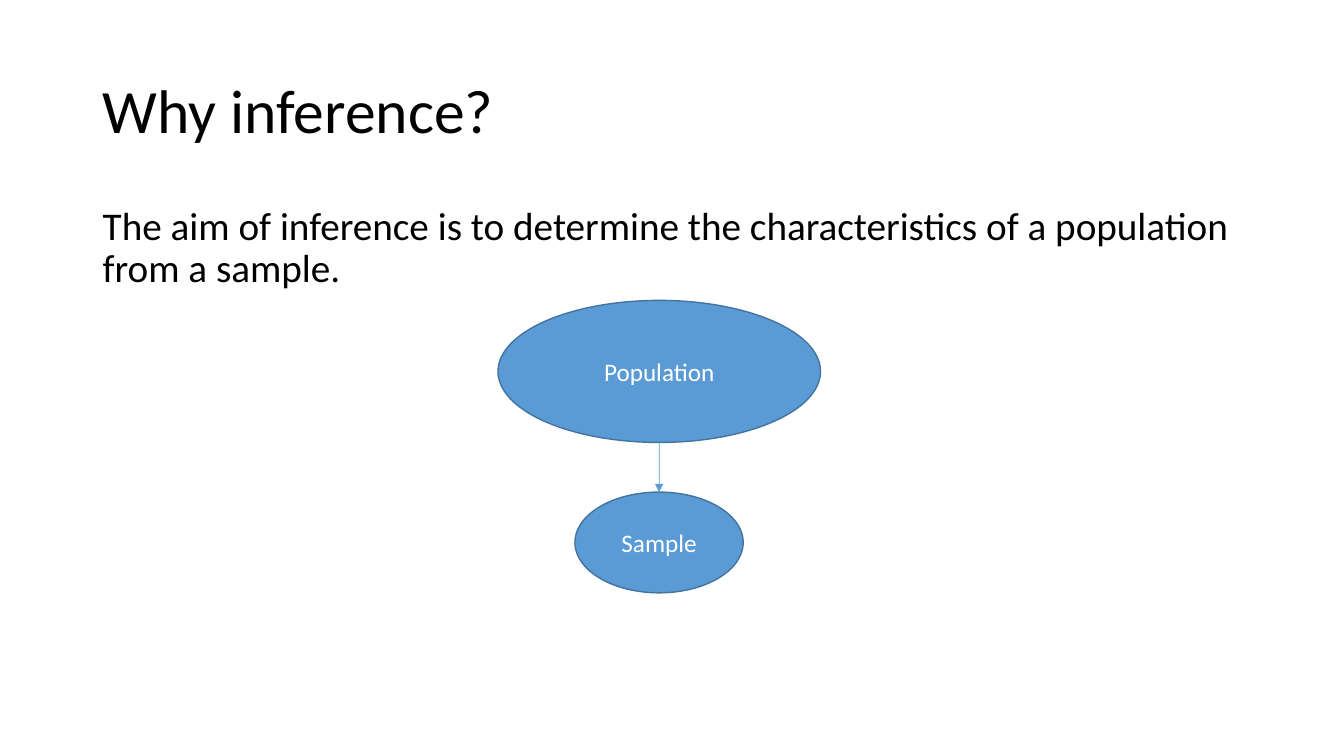
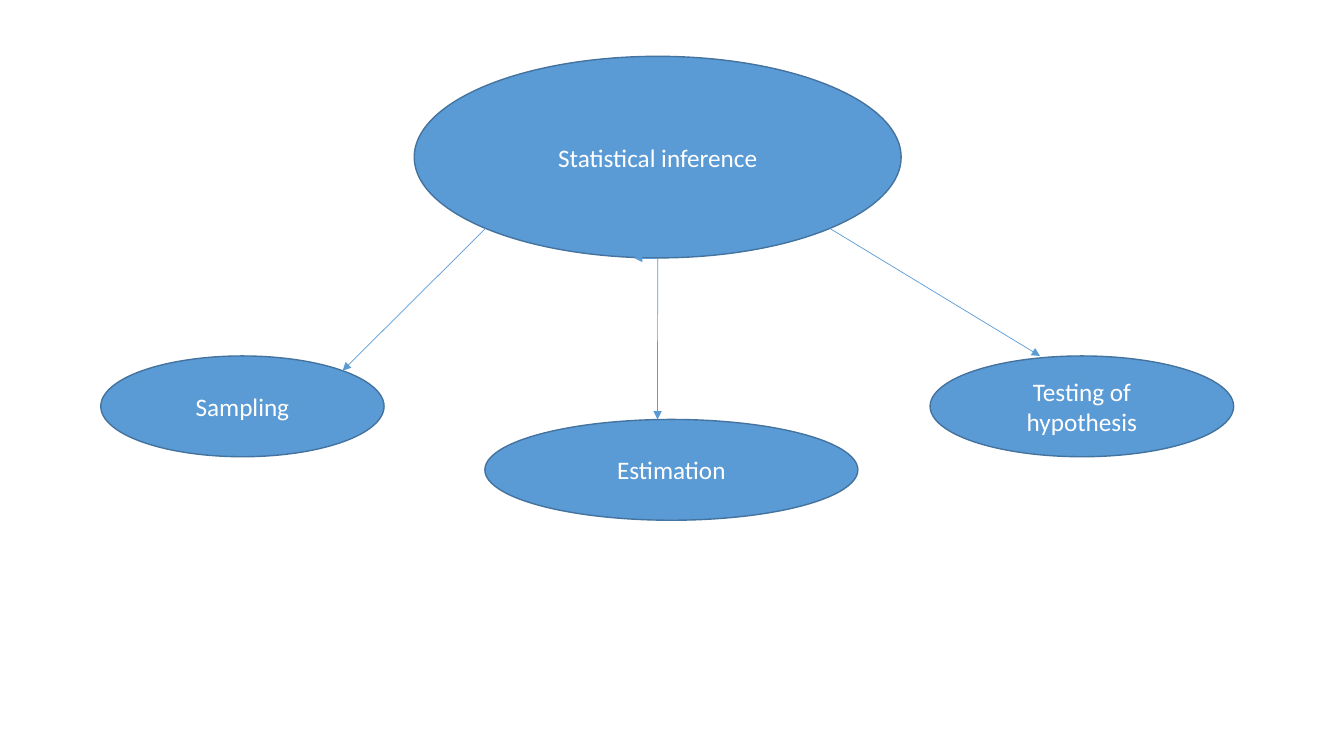
from dataclasses import dataclass
from math import cos, pi, sin

from pptx import Presentation
from pptx import util as u
from pptx.dml.color import RGBColor
from pptx.enum import shapes, text
from pptx.oxml import ns
from lxml import etree

FONT = "Calibri"
BLACK = RGBColor(0x00, 0x00, 0x00)
WHITE = RGBColor(0xFF, 0xFF, 0xFF)
BLUE = RGBColor(0x5B, 0x9B, 0xD5)
DARK_BLUE = RGBColor(0x43, 0x73, 0x9E)
MARGIN, CONTENT_WIDTH = 2.34, 29.21

# Connection sites of an ellipse, counted counter-clockwise in eighths from the top
TOP, BOTTOM_LEFT, BOTTOM, BOTTOM_RIGHT, TOP_RIGHT = 0, 3, 4, 5, 7


@dataclass(frozen=True)
class Oval:
    """A labelled ellipse, with lengths in centimetres."""
    label: str
    left: float
    top: float
    width: float
    height: float

    def site(self, index: int) -> tuple[float, float]:
        """Return the point of a connection site on the outline."""
        angle = index * pi / 4
        return (self.left + self.width / 2 * (1 - sin(angle)),
                self.top + self.height / 2 * (1 - cos(angle)))


@dataclass(frozen=True)
class Arrow:
    """An arrow from a site of one oval to a site of another or to a free point."""
    source: Oval
    source_site: int
    target: Oval | tuple[float, float]
    target_site: int = TOP


POPULATION = Oval("Population", 12.55, 7.57, 8.13, 3.58)
SAMPLE = Oval("Sample", 14.49, 12.4, 4.24, 2.54)

SAMPLING = Oval("Sampling", 2.54, 8.97, 7.14, 2.54)
ESTIMATION = Oval("Estimation", 12.22, 10.57, 9.4, 2.54)
TESTING = Oval("Testing of hypothesis", 23.44, 8.97, 7.65, 2.54)
INFERENCE = Oval("Statistical inference", 10.44, 1.42, 12.27, 5.08)


def write(frame, content: str, *, size: float, color: RGBColor,
          align=text.PP_ALIGN.LEFT, anchor=text.MSO_ANCHOR.TOP,
          line_spacing: float = 1.0, space_before: float = 0) -> None:
    frame.word_wrap = True
    frame.vertical_anchor = anchor
    paragraph = frame.paragraphs[0]
    paragraph.alignment = align
    paragraph.line_spacing = line_spacing
    paragraph.space_before = u.Pt(space_before)
    run = paragraph.add_run()
    run.text = content
    run.font.name = FONT
    run.font.size = u.Pt(size)
    run.font.color.rgb = color


def add_text(slide, content: str, top: float, height: float, **text_format) -> None:
    box = slide.shapes.add_textbox(u.Cm(MARGIN), u.Cm(top), u.Cm(CONTENT_WIDTH), u.Cm(height))
    write(box.text_frame, content, color=BLACK, line_spacing=0.9, **text_format)


def add_oval(slide, oval: Oval):
    ellipse = slide.shapes.add_shape(
        shapes.MSO_SHAPE.OVAL,
        u.Cm(oval.left), u.Cm(oval.top), u.Cm(oval.width), u.Cm(oval.height))
    ellipse.shadow.inherit = False
    ellipse.fill.solid()
    ellipse.fill.fore_color.rgb = BLUE
    ellipse.line.color.rgb = DARK_BLUE
    ellipse.line.width = u.Pt(1)
    write(ellipse.text_frame, oval.label, size=18, color=WHITE,
          align=text.PP_ALIGN.CENTER, anchor=text.MSO_ANCHOR.MIDDLE)
    return ellipse


def glue(connector, end_tag: str, ellipse, site: int) -> None:
    """Join a connector end to any of the eight sites; begin_connect knows only four."""
    joint = etree.SubElement(connector._element.nvCxnSpPr.cNvCxnSpPr, ns.qn(end_tag))
    joint.set("id", str(ellipse.shape_id))
    joint.set("idx", str(site))


def add_arrow(slide, arrow: Arrow, ellipses: dict) -> None:
    joined = isinstance(arrow.target, Oval)
    start = arrow.source.site(arrow.source_site)
    end = arrow.target.site(arrow.target_site) if joined else arrow.target
    connector = slide.shapes.add_connector(
        shapes.MSO_CONNECTOR.STRAIGHT, *(u.Cm(value) for value in (*start, *end)))
    glue(connector, "a:stCxn", ellipses[arrow.source], arrow.source_site)
    if joined:
        glue(connector, "a:endCxn", ellipses[arrow.target], arrow.target_site)
    connector.line.color.rgb = BLUE
    connector.line.width = u.Pt(0.5)
    etree.SubElement(connector.line._get_or_add_ln(), ns.qn("a:tailEnd")).set("type", "triangle")
    etree.SubElement(connector._element.spPr, ns.qn("a:effectLst"))


def add_diagram(slide, ovals: list[Oval], arrows: list[Arrow]) -> None:
    ellipses = {oval: add_oval(slide, oval) for oval in ovals}
    for arrow in arrows:
        add_arrow(slide, arrow, ellipses)


def build_why_inference(slide) -> None:
    add_text(slide, "Why inference?", 1.02, 3.68, size=44, anchor=text.MSO_ANCHOR.MIDDLE)
    add_text(slide, "The aim of inference is to determine the characteristics "
             "of a population from a sample.", 5.08, 12.09, size=28, space_before=10)
    add_diagram(slide, [POPULATION, SAMPLE], [Arrow(POPULATION, BOTTOM, SAMPLE, TOP)])


def build_branches(slide) -> None:
    add_diagram(slide, [SAMPLING, ESTIMATION, TESTING, INFERENCE], [
        Arrow(INFERENCE, BOTTOM_LEFT, SAMPLING, TOP_RIGHT),
        Arrow(INFERENCE, BOTTOM, (15.98, 6.5)),
        Arrow(INFERENCE, BOTTOM, (16.57, ESTIMATION.top)),
        Arrow(INFERENCE, BOTTOM_RIGHT, (26.21, TESTING.top)),
    ])


def main() -> None:
    deck = Presentation()
    deck.slide_width, deck.slide_height = u.Cm(33.87), u.Cm(19.05)
    blank = deck.slide_layouts[6]
    for build in (build_why_inference, build_branches):
        build(deck.slides.add_slide(blank))
    deck.save("out.pptx")


if __name__ == "__main__":
    main()
